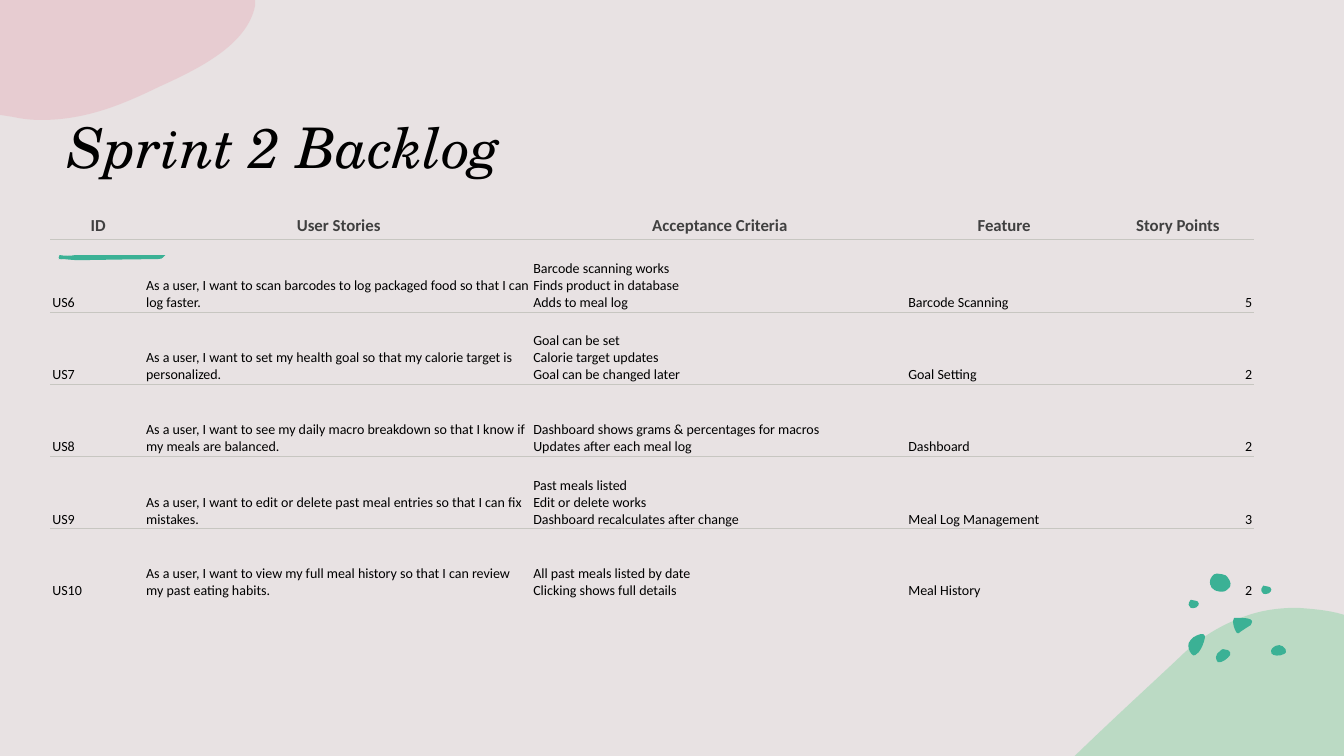
from collections import namedtuple
from dataclasses import dataclass

from lxml.etree import SubElement
from pptx import Presentation
from pptx.dml.color import RGBColor
from pptx.enum.text import MSO_ANCHOR as Anchor, PP_ALIGN as Align
from pptx.oxml import parse_xml
from pptx.oxml.ns import nsdecls, qn
from pptx.util import Inches, Pt

Box = namedtuple("Box", "left top width height")


@dataclass(frozen=True)
class Theme:
    background: str = "E8E2E3"
    green: str = "90D3A7"
    teal: str = "3BB195"
    pink: str = "E7B8C0"
    rule: str = "C7C6C1"
    heading: str = "404040"
    ink: str = "000000"
    title_font: str = "TeX Gyre Schola"
    body_font: str = "Calibri"
    title_size: int = 40
    heading_size: int = 12
    body_size: int = 10
    rule_width: float = 0.75


THEME = Theme()
SLIDE = Box(0, 0, 13.33, 7.5)
UNIT = Inches(0.01)

GREEN_HILL = [
    (221, 0), (234, 1, 247, 2, 260, 5), (267, 7), (267, 147), (0, 147), (1, 146),
    (35, 113, 70, 81, 102, 51), (124, 29, 147, 16, 170, 8), (187, 2, 204, 0, 221, 0),
]
PINK_CLOUD = [
    (0, 0), (253, 0), (253, 6), (245, 44, 200, 67, 158, 86),
    (123, 103, 86, 119, 41, 119), (31, 119, 22, 118, 13, 116), (0, 114),
]
BRUSH_STROKE = [
    (28, 5), (60, 4.5), (99, 4), (105, 4, 103, 1, 106, 0), (30, 0), (17, 0),
    (12, 1, 6, 1, 1, 0), (0, 1, -1, 5, 3, 4), (7, 4, 13, 5, 17, 5), (28, 5),
]
BRUSH_SPECK = [(0, 0), (0.3, 0, 0.6, 0.1, 0.8, 0.2), (0.5, 0.2, 0.2, 0.1, 0, 0)]
SPECK_OFFSETS = [(0, 4), (2, 4), (105, 0)]
SMALL_PEBBLE = [
    (1, 5), (1, 5, 1, 1, 3, 0), (5, 0, 6, 0, 8, 1), (9, 1, 11, 2, 11, 4),
    (11, 5, 10, 7, 9, 7), (9, 7, 9, 8, 7, 8), (6, 8, 4, 9, 3, 8), (2, 6, 1, 6, 1, 5),
]
PEBBLES = [
    ((28, 75), [
        (7, 0), (9, 0, 10, 0, 12, 1), (14, 2, 15, 4, 14, 6), (12, 9, 6, 14, 2, 13),
        (1, 12, 0, 10, 0, 8), (0, 6, 2, 3, 4, 2), (5, 1, 6, 0, 7, 0)]),
    ((0, 60), [
        (13, 0), (15, 0, 17, 0, 17, 2), (17, 3, 17, 3, 17, 4), (16, 9, 14, 14, 11, 18),
        (9, 20, 6, 23, 4, 20), (1, 17, 0, 12, 1, 9), (2, 6, 4, 5, 6, 3), (7, 3, 10, 0, 13, 0)]),
    ((83, 71), [
        (8, 0), (10, 0, 13, 2, 14, 4), (15, 6, 15, 8, 12, 9), (9, 11, 1, 11, 0, 8),
        (-1, 6, 0, 4, 1, 3), (3, 1, 5, 0, 8, 0)]),
    ((22, 0), [
        (1, 12), (0, 12, -1, 6, 2, 3), (4, 1, 4, 0, 7, 0), (10, 0, 14, 1, 16, 2),
        (18, 4, 22, 9, 20, 13), (17, 16, 16, 18, 12, 18), (9, 18, 4, 17, 3, 15),
        (1, 14, 1, 13, 1, 12)]),
    ((72, 12), SMALL_PEBBLE),
    ((0, 26), SMALL_PEBBLE),
    ((45, 44), [
        (5, 0), (11, 0, 22, 0, 18, 6), (18, 7, 17, 8, 16, 8), (13, 10, 10, 12, 7, 14),
        (6, 15, 5, 16, 4, 15), (3, 14), (1, 10, 0, 7, 0, 3), (0, 2, 0, 1, 1, 0), (5, 0)]),
]

COLUMN_WIDTHS = [0.93, 3.84, 3.72, 1.92, 1.53]
ROW_HEIGHTS = [0.24, *[2.15 / 3] * 4, 0.71]
HEADINGS = ("ID", "User Stories", "Acceptance Criteria", "Feature", "Story Points")
STORIES = [
    ("US6", "As a user, I want to scan barcodes to log packaged food so that I can log faster.",
     "Barcode scanning works\nFinds product in database\nAdds to meal log", "Barcode Scanning", "5"),
    ("US7", "As a user, I want to set my health goal so that my calorie target is personalized.",
     "Goal can be set\nCalorie target updates\nGoal can be changed later", "Goal Setting", "2"),
    ("US8", "As a user, I want to see my daily macro breakdown so that I know if my meals are balanced.",
     "Dashboard shows grams & percentages for macros\nUpdates after each meal log", "Dashboard", "2"),
    ("US9", "As a user, I want to edit or delete past meal entries so that I can fix mistakes.",
     "Past meals listed\nEdit or delete works\nDashboard recalculates after change",
     "Meal Log Management", "3"),
    ("US10", "As a user, I want to view my full meal history so that I can review my past eating habits.",
     "All past meals listed by date\nClicking shows full details", "Meal History", "2"),
]


def bend_curves(shape, outline, origin):
    path = next(shape._element.iter(qn("a:path")))
    for line, segment in zip(path.findall(qn("a:lnTo")), outline[1:]):
        if len(segment) == 2:
            continue
        line.tag = qn("a:cubicBezTo")
        line.remove(line[0])
        for x, y in zip(segment[::2], segment[1::2]):
            point = SubElement(line, qn("a:pt"))
            point.set("x", str(round((x - origin[0]) * UNIT)))
            point.set("y", str(round((y - origin[1]) * UNIT)))


def add_outline(slide, box, outline, color, opacity=100, offset=(0, 0)):
    corners = [segment[-2:] for segment in outline]
    origin = [min(axis) for axis in zip(*corners)]
    points = [(x * UNIT, y * UNIT) for x, y in corners]
    builder = slide.shapes.build_freeform(*points[0])
    builder.add_line_segments(points[1:], close=True)
    shape = builder.convert_to_shape(
        Inches(box.left) + offset[0] * UNIT, Inches(box.top) + offset[1] * UNIT)
    bend_curves(shape, outline, origin)
    shape.shadow.inherit = False
    shape.line.fill.background()
    shape.fill.solid()
    shape.fill.fore_color.rgb = RGBColor.from_string(color)
    if opacity < 100:
        color_element = next(shape._element.spPr.iter(qn("a:srgbClr")))
        SubElement(color_element, qn("a:alpha")).set("val", str(opacity * 1000))


def add_pebbles(slide, box):
    for offset, outline in PEBBLES:
        add_outline(slide, box, outline, THEME.teal, offset=offset)


def add_brush_stroke(slide, box):
    for offset in SPECK_OFFSETS:
        add_outline(slide, box, BRUSH_SPECK, THEME.teal, offset=offset)
    add_outline(slide, box, BRUSH_STROKE, THEME.teal)


def add_text(paragraph, text, font, size, color, bold=False, italic=False):
    for index, line in enumerate(text.split("\n")):
        if index:
            paragraph.add_line_break()
        run = paragraph.add_run()
        run.text = line
        run.font.name = font
        run.font.size = Pt(size)
        run.font.bold = bold
        run.font.italic = italic
        run.font.color.rgb = RGBColor.from_string(color)


def add_title(slide, box, text):
    frame = slide.shapes.add_textbox(*map(Inches, box)).text_frame
    frame.word_wrap = True
    frame.vertical_anchor = Anchor.TOP
    add_text(frame.paragraphs[0], text, THEME.title_font, THEME.title_size, THEME.ink, italic=True)


def set_borders(cell, ruled_sides):
    properties = cell._tc.get_or_add_tcPr()
    for index, side in enumerate("LRTB"):
        paint = (f'<a:solidFill><a:srgbClr val="{THEME.rule}"/></a:solidFill>'
                 if side in ruled_sides else "<a:noFill/>")
        properties.insert(index, parse_xml(
            f'<a:ln{side} {nsdecls("a")} w="{Pt(THEME.rule_width)}">{paint}</a:ln{side}>'))


def fill_cell(cell, text, is_heading, align, ruled_sides):
    margins = (0.07, 0.04, 0.05, 0.04) if is_heading else (0.02, 0.01, 0.02, 0.01)
    cell.margin_left, cell.margin_top, cell.margin_right, cell.margin_bottom = map(Inches, margins)
    cell.vertical_anchor = Anchor.BOTTOM
    cell.fill.background()
    set_borders(cell, ruled_sides)
    paragraph = cell.text_frame.paragraphs[0]
    paragraph.alignment = align
    size, color = ((THEME.heading_size, THEME.heading) if is_heading
                   else (THEME.body_size, THEME.ink))
    add_text(paragraph, text, THEME.body_font, size, color, bold=is_heading)


def add_backlog(slide, box):
    rows = [HEADINGS, *STORIES]
    table = slide.shapes.add_table(len(rows), len(HEADINGS), *map(Inches, box)).table
    table.first_row = table.horz_banding = False
    for column, width in zip(table.columns, COLUMN_WIDTHS):
        column.width = Inches(width)
    for row_index, (height, texts) in enumerate(zip(ROW_HEIGHTS, rows)):
        table.rows[row_index].height = Inches(height)
        sides = ("T" if row_index else "") + ("B" if row_index < len(rows) - 1 else "")
        for column_index, text in enumerate(texts):
            is_points = column_index == len(HEADINGS) - 1
            align = Align.CENTER if row_index == 0 else Align.RIGHT if is_points else Align.LEFT
            fill_cell(table.cell(row_index, column_index), text, row_index == 0, align, sides)


def build_backlog_slide(presentation, box):
    slide = presentation.slides.add_slide(presentation.slide_layouts[6])
    slide.background.fill.solid()
    slide.background.fill.fore_color.rgb = RGBColor.from_string(THEME.background)
    right, bottom = box.left + box.width, box.top + box.height
    add_outline(slide, Box(right - 2.67, bottom - 1.47, 2.67, 1.47), GREEN_HILL, THEME.green, 50)
    add_pebbles(slide, Box(right - 1.55, bottom - 1.81, 0.98, 0.89))
    add_outline(slide, Box(box.left, box.top, 2.53, 1.19), PINK_CLOUD, THEME.pink, 50)
    add_brush_stroke(slide, Box(box.left + 0.58, box.top + 2.53, 1.06, 0.05))
    add_title(slide, Box(box.left + 0.57, box.top + 1.07, 6.1, 1.73), "Sprint 2 Backlog")
    add_backlog(slide, Box(box.left + 0.5, box.top + 2.1, sum(COLUMN_WIDTHS), sum(ROW_HEIGHTS)))


def main():
    presentation = Presentation()
    presentation.slide_width = Inches(SLIDE.width)
    presentation.slide_height = Inches(SLIDE.height)
    build_backlog_slide(presentation, SLIDE)
    presentation.save("out.pptx")


if __name__ == "__main__":
    main()
